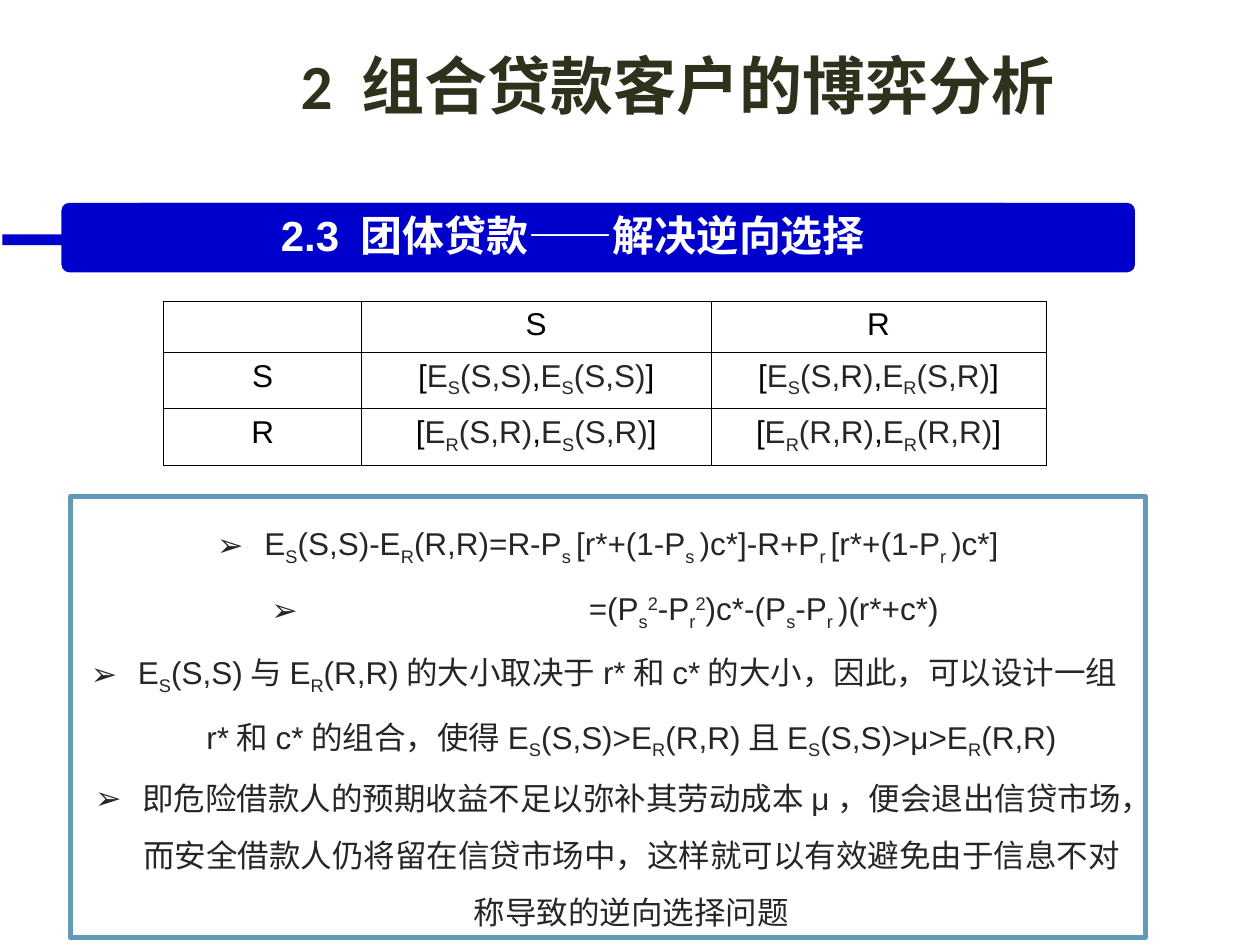
from lxml import etree
from pptx import Presentation
from pptx import util as u
from pptx.dml.color import RGBColor
from pptx.enum import shapes, text
from pptx.oxml import ns

COLOURS = {"title": "30311D", "band": "0000CC", "white": "FFFFFF",
           "black": "000000", "body": "262626", "frame": "6299B4"}

# {_x} marks a subscript and {^x} a superscript
PAYOFFS = [
    [("E{_S}(S,S)", "E{_S}(S,S)"), ("E{_S}(S,R)", "E{_R}(S,R)")],
    [("E{_R}(S,R)", "E{_S}(S,R)"), ("E{_R}(R,R)", "E{_R}(R,R)")],
]
TYPES = ["S", "R"]
POINTS = [
    "E{_S}(S,S)-E{_R}(R,R)=R-P{_s }[r*+(1-P{_s })c*]-R+P{_r }[r*+(1-P{_r })c*]",
    "=(P{_s}{^2}-P{_r}{^2})c*-(P{_s}-P{_r })(r*+c*)",
    "E{_S}(S,S)与E{_R}(R,R)的大小取决于r*和c*的大小，因此，可以设计一组"
    "r*和c*的组合，使得E{_S}(S,S)>E{_R}(R,R)且E{_S}(S,S)>μ>E{_R}(R,R)",
    "即危险借款人的预期收益不足以弥补其劳动成本μ，便会退出信贷市场，"
    "而安全借款人仍将留在信贷市场中，这样就可以有效避免由于信息不对称导致的逆向选择问题",
]
CONTINUATION = 1  # second line of the equation, set in under its equals sign


def colour(name):
    return RGBColor.from_string(COLOURS[name])


def place(item, left, top, width, height):
    item.left, item.top = u.Cm(left), u.Cm(top)
    item.width, item.height = u.Cm(width), u.Cm(height)


def add_text(para, content, size=18, font="Arial", ink="body", bold=False,
             align=text.PP_ALIGN.CENTER):
    """Add marked-up text to a paragraph, one run per baseline."""
    para.alignment = align
    for chunk in content.replace("}", "{").split("{"):
        if not chunk:
            continue
        shift = {"_": "-25000", "^": "30000"}.get(chunk[0])
        span = para.add_run()
        span.text = chunk[1:] if shift else chunk
        span.font.size = u.Pt(size)
        span.font.name = font
        span.font.bold = bold
        span.font.color.rgb = colour(ink)
        if shift:
            span.font._element.set("baseline", shift)


def add_bullet(para, margin, hanging):
    props = para._p.get_or_add_pPr()
    props.set("marL", str(u.Cm(margin)))
    props.set("indent", str(-u.Cm(hanging)))
    ink = etree.SubElement(props, ns.qn("a:buClr"))
    etree.SubElement(ink, ns.qn("a:srgbClr"), val=COLOURS["body"])
    etree.SubElement(props, ns.qn("a:buFont"), typeface="Arial")
    etree.SubElement(props, ns.qn("a:buChar"), char="➢")


def add_box(page, kind, bounds, fill=None, line=None):
    box = page.shapes.add_shape(kind, *[u.Cm(length) for length in bounds])
    box.shadow.inherit = False
    if fill:
        box.fill.solid()
        box.fill.fore_color.rgb = colour(fill)
    else:
        box.fill.background()
    if line:
        box.line.color.rgb = colour(line)
        box.line.width = u.Pt(3)
    else:
        box.line.fill.background()
    box.text_frame.word_wrap = True
    box.text_frame.vertical_anchor = text.MSO_ANCHOR.TOP
    return box


def add_title(page):
    title = page.shapes.title
    place(title, 2.64, 0.79, 22.05, 1.8)
    title.text_frame.auto_size = text.MSO_AUTO_SIZE.NONE
    title.text_frame.vertical_anchor = text.MSO_ANCHOR.MIDDLE
    add_text(title.text_frame.paragraphs[0], "2 组合贷款客户的博弈分析",
             size=36, font="Calibri", ink="title", bold=True)


def add_heading(page):
    kinds = shapes.MSO_SHAPE
    bar = add_box(page, kinds.ROUNDED_RECTANGLE, (1.24, 4.09, 21.64, 1.4), "band")
    bar.adjustments[0] = 0.11
    arrow = add_box(page, kinds.RIGHT_ARROW, (0.05, 4.62, 2.36, 0.43), "band")
    arrow.adjustments[1] = 2.28
    label = add_box(page, kinds.RECTANGLE, (2.84, 4.09, 17.42, 1.27), "band")
    add_text(label.text_frame.paragraphs[0], "2.3 团体贷款——解决逆向选择",
             size=24, ink="white", bold=True)


def add_borders(cell):
    props = cell._tc.get_or_add_tcPr()
    for position, side in enumerate(("lnL", "lnR", "lnT", "lnB")):
        line = etree.Element(ns.qn("a:" + side), w=str(u.Pt(0.45)))
        fill = etree.SubElement(line, ns.qn("a:solidFill"))
        etree.SubElement(fill, ns.qn("a:srgbClr"), val=COLOURS["black"])
        props.insert(position, line)


def add_payoff_table(page):
    widths, heights = [3.99, 7.04, 6.76], [1.02, 1.14, 1.14]
    table = page.shapes.add_table(
        3, 3, u.Cm(3.3), u.Cm(6.07), u.Cm(sum(widths)), u.Cm(sum(heights))).table
    table.first_row = table.horz_banding = False
    for column, width in zip(table.columns, widths):
        column.width = u.Cm(width)
    for row, height in zip(table.rows, heights):
        row.height = u.Cm(height)
    for cell in table.iter_cells():
        cell.fill.background()
        add_borders(cell)
    for index, (name, pairs) in enumerate(zip(TYPES, PAYOFFS), start=1):
        for header in (table.cell(0, index), table.cell(index, 0)):
            add_text(header.text_frame.paragraphs[0], name, ink="black")
        for column, (first, second) in enumerate(pairs, start=1):
            para = table.cell(index, column).text_frame.paragraphs[0]
            for part in ("[", first, ",", second, "]"):
                add_text(para, part, ink="black" if len(part) == 1 else "body")


def add_conclusions(page):
    box = add_box(page, shapes.MSO_SHAPE.RECTANGLE, (1.42, 10.01, 21.67, 8.89),
                  line="frame")
    frame = box.text_frame
    for index, point in enumerate(POINTS):
        para = frame.add_paragraph() if index else frame.paragraphs[0]
        para.line_spacing = 1.5
        if index == CONTINUATION:
            add_bullet(para, 10.2, 6.4)
            add_text(para, point, align=text.PP_ALIGN.LEFT)
        else:
            add_bullet(para, 0.95, 0.95)
            add_text(para, point)


def main():
    deck = Presentation()
    deck.slide_width, deck.slide_height = u.Cm(25.4), u.Cm(19.05)
    page = deck.slides.add_slide(deck.slide_layouts.get_by_name("Title Only"))
    add_conclusions(page)
    add_heading(page)
    add_title(page)
    add_payoff_table(page)
    deck.save("out.pptx")


if __name__ == "__main__":
    main()
